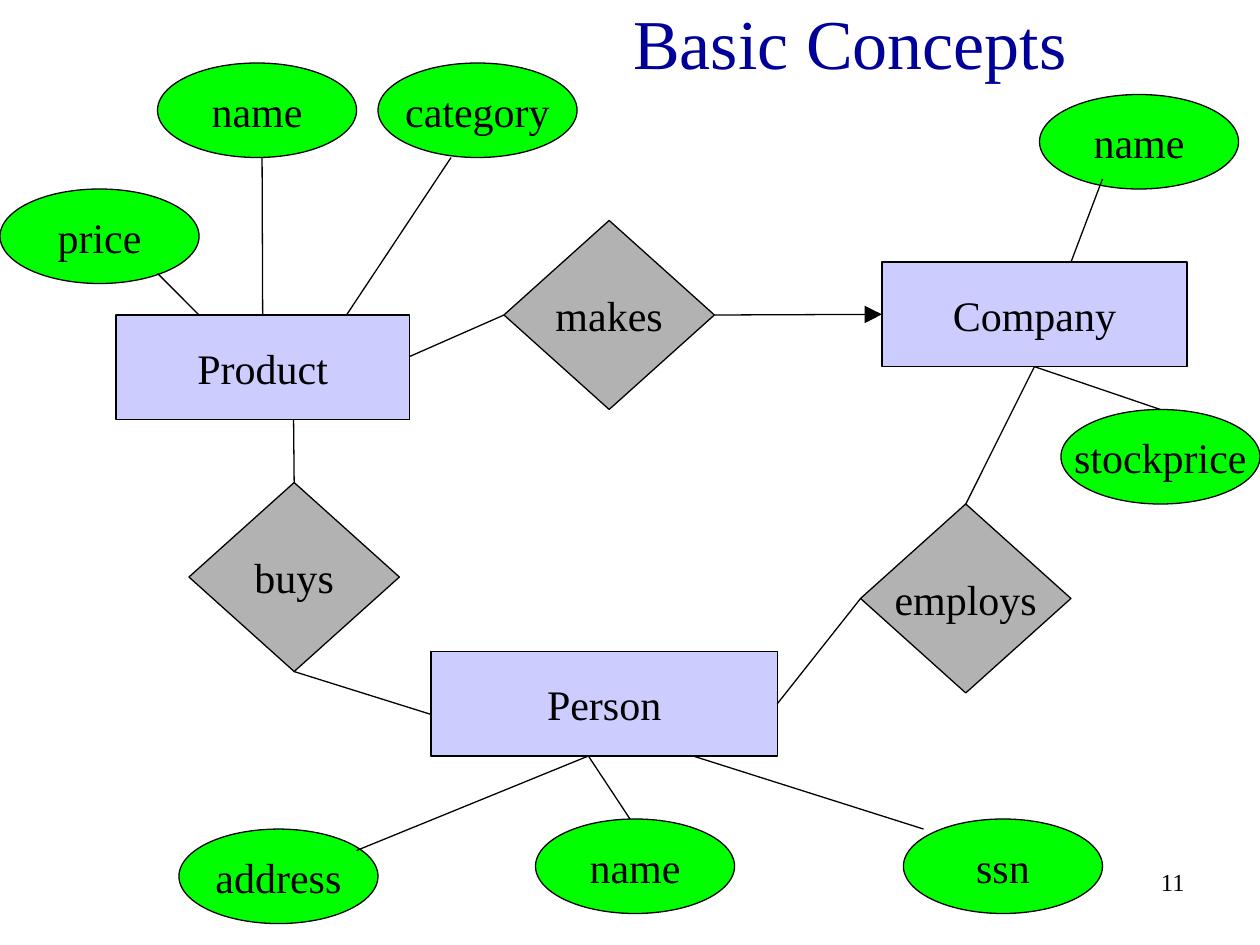
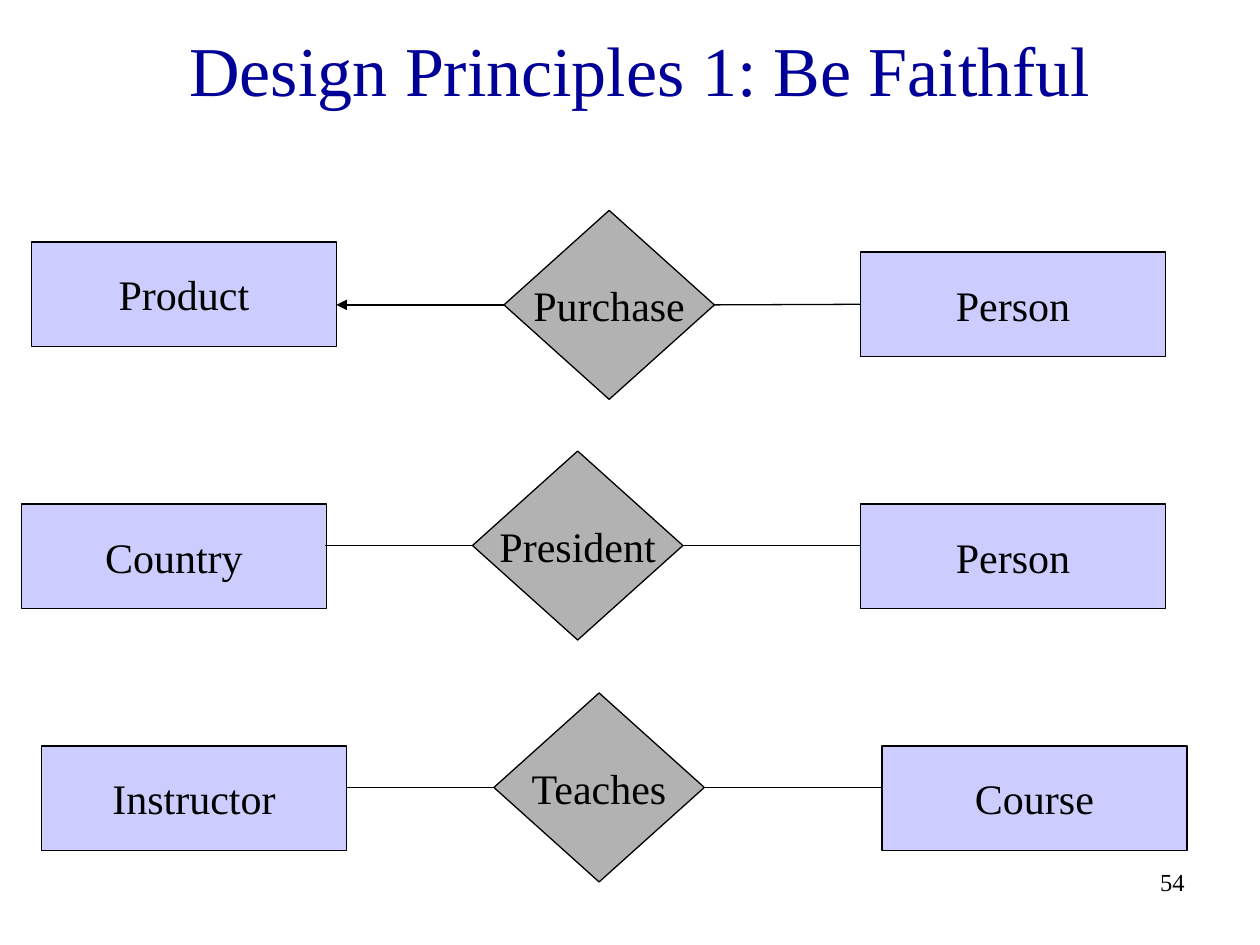
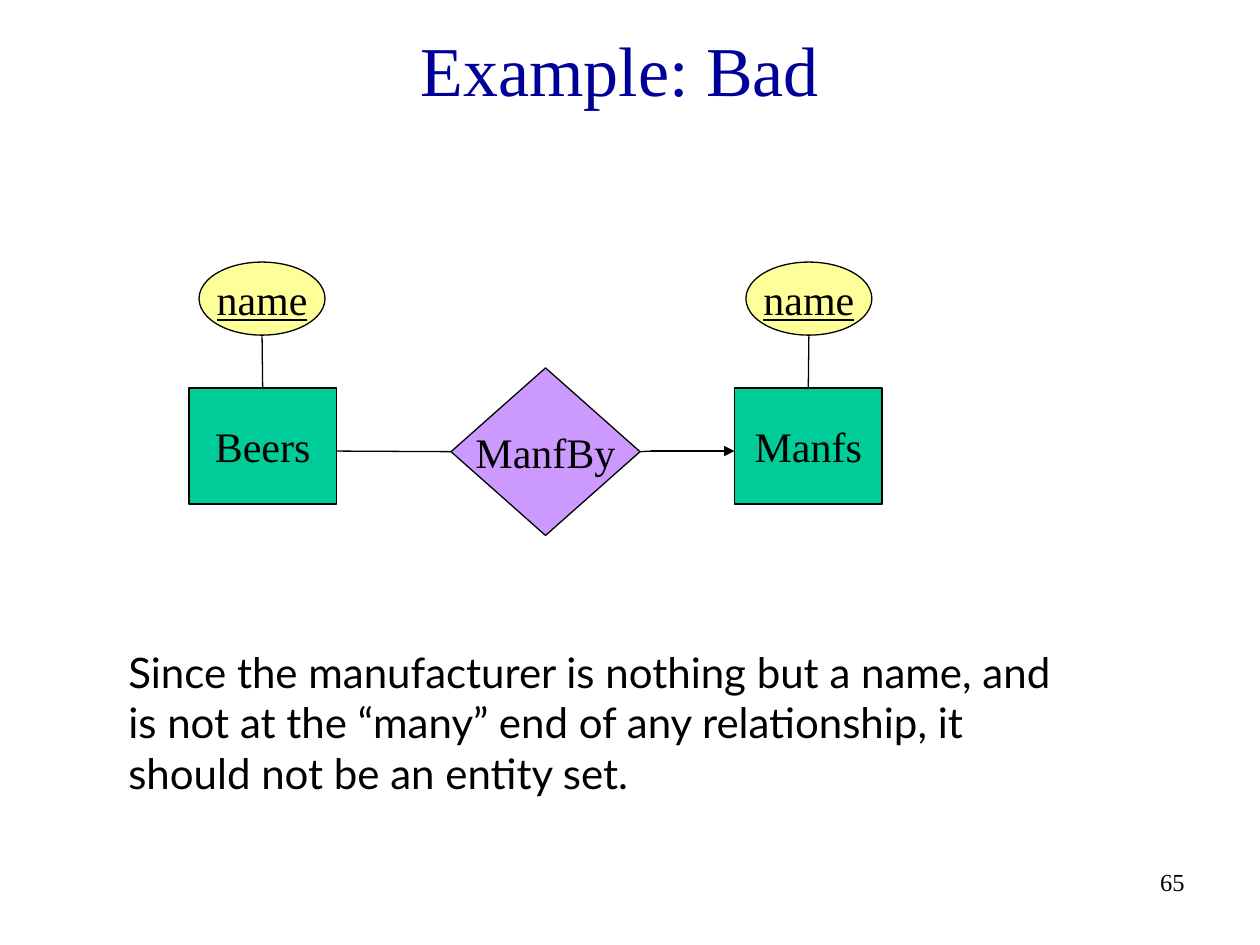
"""Build three slides of entity-relationship diagrams."""
from lxml.etree import SubElement
from pptx import Presentation
from pptx.dml.color import RGBColor
from pptx.enum.shapes import MSO_CONNECTOR as Connector, MSO_SHAPE as Preset
from pptx.enum.text import MSO_ANCHOR as Anchor, MSO_AUTO_SIZE as AutoSize, PP_ALIGN as Align
from pptx.oxml.ns import qn
from pptx.util import Inches, Pt

COLORS = {
    "ink": "000000", "title": "000099",
    "entity": "CCCCFF", "relation": "B2B2B2", "attribute": "00FF00",
    "green entity": "00CC99", "violet relation": "CC99FF", "key": "FFFF99",
}
SERIF, SANS = "Times New Roman", "Lato"

KINDS = {
    "entity": (Preset.RECTANGLE, 2.42, 0.83),
    "relation": (Preset.DIAMOND, 1.67, 1.5),
    "attribute": (Preset.OVAL, 1.58, 0.75),
    "green entity": (Preset.RECTANGLE, 1.17, 0.92),
    "violet relation": (Preset.DIAMOND, 1.5, 1.33),
    "key": (Preset.OVAL, 1, 0.58),
}

SLIDES = [
    {
        "title": ("Basic Concepts", 4.58, 0.08, 4.33, 0.5),
        "number": "11",
        "nodes": [
            ("attribute", "address", 1.42, 6.58),
            ("attribute", "name", 4.25, 6.5),
            ("attribute", "ssn", 7.17, 6.5),
            ("entity", "Person", 3.42, 5.17, 2.75),
            ("relation", "buys", 1.5, 3.83),
            ("relation", "makes", 4, 1.75),
            ("relation", "employs", 6.83, 4),
            ("entity", "Company", 7, 2.08),
            ("entity", "Product", 0.92, 2.5, 2.33),
            ("attribute", "name", 1.25, 0.5),
            ("attribute", "category", 3, 0.5),
            ("attribute", "stockprice", 8.42, 3.25),
            ("attribute", "name", 8.25, 0.75),
            ("attribute", "price", 0, 1.5),
        ],
        "links": [
            (5.67, 2.5, 7, 2.5, "lg"),
            (1.58, 2.5, 1.25, 2.17),
            (2.08, 2.5, 2.08, 1.25),
            (2.75, 2.5, 3.58, 1.25),
            (4, 2.5, 3.25, 2.83),
            (2.33, 3.83, 2.33, 3.33),
            (2.33, 5.33, 3.42, 5.67),
            (8.5, 2.08, 8.75, 1.42),
            (6.83, 4.75, 6.17, 5.58),
            (4.67, 6, 2.83, 6.75),
            (4.67, 6, 5, 6.5),
            (5.5, 6, 7.33, 6.58),
            (7.67, 4, 8.21, 2.92),
            (8.21, 2.92, 9.21, 3.25),
        ],
    },
    {
        "title": ("Design Principles 1: Be Faithful", 0.83, 0.17, 8.5, 0.75),
        "number": "54",
        "nodes": [
            ("relation", "Purchase", 4, 1.67),
            ("entity", "Product", 0.25, 1.92),
            ("entity", "Person", 6.83, 2),
            ("relation", "President", 3.75, 3.58),
            ("entity", "Person", 6.83, 4),
            ("entity", "Country", 0.17, 4),
            ("relation", "Teaches", 3.92, 5.5),
            ("entity", "Course", 7, 5.92),
            ("entity", "Instructor", 0.33, 5.92),
        ],
        "links": [
            (4, 2.42, 2.67, 2.42, "med"),
            (5.67, 2.42, 6.83, 2.42),
            (5.42, 4.33, 6.83, 4.33),
            (3.75, 4.33, 2.58, 4.33),
            (5.58, 6.25, 7, 6.25),
            (3.92, 6.25, 2.75, 6.25),
        ],
    },
    {
        "title": ("Example: Bad", 0.17, 0.17, 9.5, 0.75),
        "number": "65",
        "nodes": [
            ("green entity", "Beers", 1.5, 3.08),
            ("green entity", "Manfs", 5.83, 3.08),
            ("violet relation", "ManfBy", 3.58, 2.92),
            ("key", "name", 1.58, 2.08),
            ("key", "name", 5.92, 2.08),
        ],
        "links": [
            (5.08, 3.58, 5.17, 3.58),
            (3.58, 3.58, 2.67, 3.58),
            (2.08, 2.67, 2.08, 3.08),
            (5.17, 3.58, 5.83, 3.58, "med"),
            (6.42, 2.67, 6.42, 3.08),
        ],
        "remark": "Since the manufacturer is nothing but a name, and is not at the "
                  "“many” end of any relationship, it should not be an entity set.",
    },
]


def color(name):
    return RGBColor.from_string(COLORS[name])


def write(box, text, size, align, font=SERIF, ink="ink", underline=None):
    para = box.text_frame.paragraphs[0]
    para.alignment = align
    span = para.add_run()
    span.text = text
    span.font.name, span.font.size = font, Pt(size)
    span.font.color.rgb = color(ink)
    span.font.underline = underline


def add_title(page, text, *place):
    box = page.shapes.title
    box.left, box.top, box.width, box.height = map(Inches, place)
    box.text_frame.vertical_anchor = Anchor.MIDDLE
    box.text_frame.auto_size = AutoSize.NONE
    write(box, text, 40, Align.CENTER, ink="title")


def add_text(page, text, place, size, align, font=SERIF):
    box = page.shapes.add_textbox(*map(Inches, place))
    box.text_frame.word_wrap = True
    write(box, text, size, align, font)
    return box


def add_node(page, kind, label, left, top, width=None):
    preset, usual_width, height = KINDS[kind]
    place = (left, top, width or usual_width, height)
    node = page.shapes.add_shape(preset, *map(Inches, place))
    node.shadow.inherit = False
    node.fill.solid()
    node.fill.fore_color.rgb = color(kind)
    node.line.color.rgb = color("ink")
    node.line.width = Pt(0.75)
    node.text_frame.word_wrap = False
    node.text_frame.vertical_anchor = Anchor.MIDDLE
    write(node, label, 24, Align.CENTER, underline=True if kind == "key" else None)
    return node


def find_side(nodes, x, y):
    """Return the node and side whose middle lies at the point, if any."""
    near = Inches(0.02)
    for node in nodes:
        if node.auto_shape_type == Preset.OVAL:
            continue
        middle_x, middle_y = node.left + node.width / 2, node.top + node.height / 2
        sides = [(middle_x, node.top), (node.left, middle_y),
                 (middle_x, node.top + node.height), (node.left + node.width, middle_y)]
        for side, (side_x, side_y) in enumerate(sides):
            if max(abs(side_x - Inches(x)), abs(side_y - Inches(y))) <= near:
                return node, side
    return None


def add_link(page, nodes, x1, y1, x2, y2, arrow=None):
    link = page.shapes.add_connector(Connector.STRAIGHT, *map(Inches, (x1, y1, x2, y2)))
    link.line.color.rgb = color("ink")
    link.line.width = Pt(0.75)
    if arrow:
        SubElement(link.line._get_or_add_ln(), qn("a:tailEnd"), type="triangle", w=arrow, len=arrow)
    SubElement(link._element.spPr, qn("a:effectLst"))
    for connect, x, y in ((link.begin_connect, x1, y1), (link.end_connect, x2, y2)):
        found = find_side(nodes, x, y)
        if found:
            connect(*found)


def main():
    deck = Presentation()
    deck.slide_width, deck.slide_height = Inches(10), Inches(7.5)
    for content in SLIDES:
        page = deck.slides.add_slide(deck.slide_layouts[5])
        add_title(page, *content["title"])
        add_text(page, content["number"], (7.42, 6.83, 2.08, 0.5), 14, Align.RIGHT)
        nodes = [add_node(page, *node) for node in content["nodes"]]
        for link in content["links"]:
            add_link(page, nodes, *link)
        if "remark" in content:
            box = add_text(page, content["remark"], (0.92, 5.08, 7.52, 1.3), 24, Align.LEFT, SANS)
            box.text_frame.auto_size = AutoSize.SHAPE_TO_FIT_TEXT
    deck.save("out.pptx")


if __name__ == "__main__":
    main()
